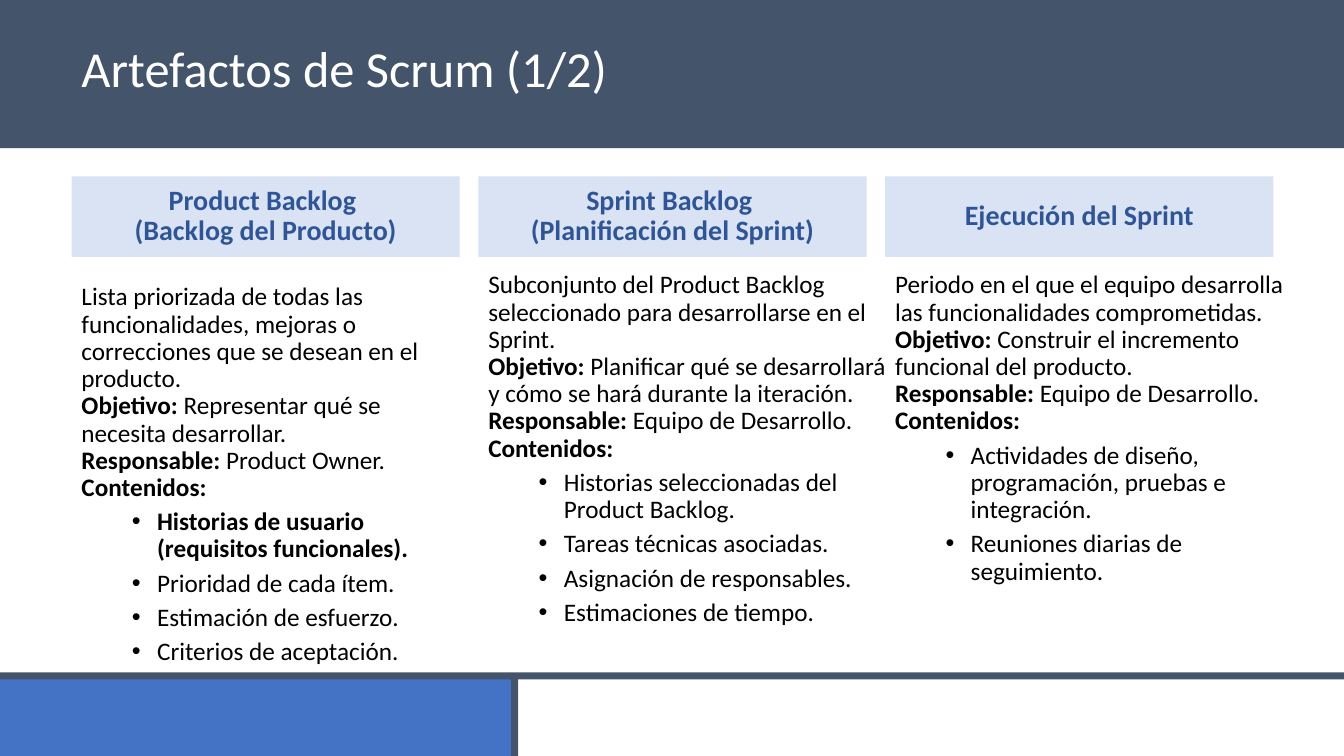
from lxml import etree
from pptx import Presentation
from pptx.dml.color import RGBColor
from pptx.enum.shapes import MSO_SHAPE
from pptx.enum.text import MSO_ANCHOR, PP_ALIGN
from pptx.oxml.ns import qn
from pptx.util import Inches, Pt

RECTANGLE = MSO_SHAPE.RECTANGLE
TOP, MIDDLE = MSO_ANCHOR.TOP, MSO_ANCHOR.MIDDLE
LEFT, CENTER = PP_ALIGN.LEFT, PP_ALIGN.CENTER
FONT = "Calibri"
SLATE, BLUE, PALE, NAVY = "44546A", "4472C4", "DAE3F3", "2F5597"
WHITE, BLACK = "FFFFFF", "000000"
SLIDE_WIDTH, SLIDE_HEIGHT = 13.33, 7.5
MARGIN, CONTENT_WIDTH, COLUMN_WIDTH = 0.71, 11.92, 3.85
HEADING_TOP, HEADING_HEIGHT = 1.75, 0.8
BODY_BOTTOM = 6.61

ARTEFACTS = [
    {
        "heading": ["Product Backlog ", "(Backlog del Producto)"],
        "summary": "Lista priorizada de todas las funcionalidades, mejoras o "
                   "correcciones que se desean en el producto.",
        "goal": "Representar qué se necesita desarrollar.",
        "owner": "Product Owner.",
        "contents": ["Historias de usuario (requisitos funcionales).",
                     "Prioridad de cada ítem.", "Estimación de esfuerzo.",
                     "Criterios de aceptación."],
        "bold_items": 1, "body_top": 2.77, "body_width": 3.85,
    },
    {
        "heading": ["Sprint Backlog ", "(Planificación del Sprint)"],
        "summary": "Subconjunto del Product Backlog seleccionado para "
                   "desarrollarse en el Sprint.",
        "goal": "Planificar qué se desarrollará y cómo se hará durante la iteración.",
        "owner": "Equipo de Desarrollo.",
        "contents": ["Historias seleccionadas del Product Backlog.",
                     "Tareas técnicas asociadas.", "Asignación de responsables.",
                     "Estimaciones de tiempo."],
        "bold_items": 0, "body_top": 2.65, "body_width": 4.14,
    },
    {
        "heading": ["Ejecución del Sprint"],
        "summary": "Periodo en el que el equipo desarrolla las funcionalidades "
                   "comprometidas.",
        "goal": "Construir el incremento funcional del producto.",
        "owner": "Equipo de Desarrollo.",
        "contents": ["Actividades de diseño, programación, pruebas e integración.",
                     "Reuniones diarias de seguimiento."],
        "bold_items": 0, "body_top": 2.65, "body_width": 4.14,
    },
]


def color(value):
    return RGBColor.from_string(value)


def add_band(slide, left, top, width, height, fill):
    band = slide.shapes.add_shape(RECTANGLE, Inches(left), Inches(top),
                                  Inches(width), Inches(height))
    band.shadow.inherit = False
    band.fill.solid()
    band.fill.fore_color.rgb = color(fill)
    band.line.fill.background()
    return band


def add_text_frame(slide, left, top, width, height, anchor):
    frame = slide.shapes.add_textbox(Inches(left), Inches(top),
                                     Inches(width), Inches(height)).text_frame
    frame.word_wrap = True
    frame.vertical_anchor = anchor
    return frame


def style(paragraph, size, fill, bold=None, align=LEFT):
    paragraph.alignment = align
    paragraph.line_spacing = 0.9
    paragraph.font.name = FONT
    paragraph.font.size = Pt(size)
    paragraph.font.color.rgb = color(fill)
    paragraph.font.bold = bold


def add_bullet(paragraph):
    properties = paragraph._p.get_or_add_pPr()
    properties.set("marL", str(Inches(0.75)))
    properties.set("indent", str(Inches(-0.25)))
    etree.SubElement(properties, qn("a:buFont")).set("typeface", "Arial")
    etree.SubElement(properties, qn("a:buChar")).set("char", "•")


def add_frame_bands(slide, width, height):
    add_band(slide, 0, 0, width, 1.47, SLATE)
    add_band(slide, 0, height - 0.82, 5.09, 0.82, BLUE)
    add_band(slide, 0, height - 0.83, width, 0.07, SLATE)
    add_band(slide, 5.07, height - 0.81, 0.07, 0.81, SLATE)


def add_title(slide, left, top, width, height):
    title = add_text_frame(slide, left, top, width, height, MIDDLE).paragraphs[0]
    title.text = "Artefactos de Scrum (1/2)"
    style(title, 36, WHITE)


def add_heading(slide, left, top, width, height, lines):
    frame = add_band(slide, left, top, width, height, PALE).text_frame
    frame.word_wrap = True
    frame.vertical_anchor = MIDDLE
    for index, line in enumerate(lines):
        paragraph = frame.add_paragraph() if index else frame.paragraphs[0]
        paragraph.text = line
        style(paragraph, 20, NAVY, True, CENTER)


def add_body(slide, left, top, width, height, artefact):
    frame = add_text_frame(slide, left, top, width, height, TOP)
    description = frame.paragraphs[0]
    description.add_run().text = artefact["summary"]
    for label, detail in (("Objetivo:", artefact["goal"]),
                          ("Responsable:", artefact["owner"]),
                          ("Contenidos:", "")):
        description.add_line_break()
        label_run = description.add_run()
        label_run.text = label
        label_run.font.bold = True
        if detail:
            description.add_run().text = " " + detail
    style(description, 18, BLACK)
    for index, item in enumerate(artefact["contents"]):
        paragraph = frame.add_paragraph()
        paragraph.text = item
        paragraph.level = 1
        paragraph.space_before = Pt(5)
        paragraph.line_spacing = 0.9
        add_bullet(paragraph)
        style(paragraph, 18, BLACK, index < artefact["bold_items"])


def add_artefact(slide, left, top, width, bottom, artefact):
    add_heading(slide, left, top, width, HEADING_HEIGHT, artefact["heading"])
    body_top = artefact["body_top"]
    add_body(slide, left, body_top, artefact["body_width"], bottom - body_top, artefact)


def main():
    presentation = Presentation()
    presentation.slide_width = Inches(SLIDE_WIDTH)
    presentation.slide_height = Inches(SLIDE_HEIGHT)
    slide = presentation.slides.add_slide(presentation.slide_layouts[6])
    add_frame_bands(slide, SLIDE_WIDTH, SLIDE_HEIGHT)
    add_title(slide, MARGIN, 0.2, CONTENT_WIDTH, 1.02)
    pitch = (CONTENT_WIDTH - COLUMN_WIDTH) / (len(ARTEFACTS) - 1)
    for column, artefact in enumerate(ARTEFACTS):
        add_artefact(slide, MARGIN + column * pitch, HEADING_TOP, COLUMN_WIDTH,
                     BODY_BOTTOM, artefact)
    presentation.save("out.pptx")


if __name__ == "__main__":
    main()
